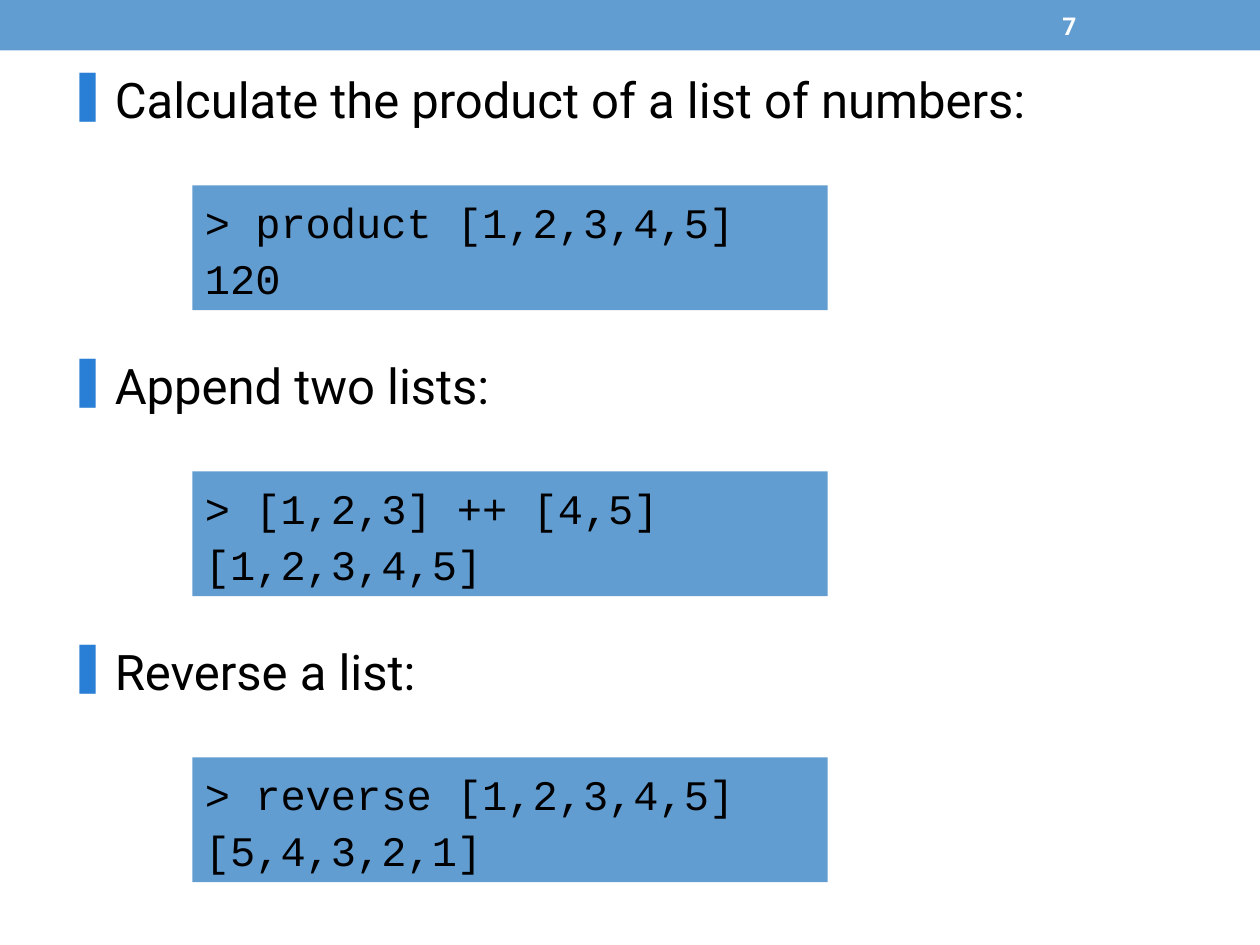
from dataclasses import dataclass

from lxml import etree
from pptx import Presentation, util as u
from pptx.dml.color import RGBColor
from pptx.enum import shapes, text
from pptx.oxml import ns


@dataclass(frozen=True)
class Theme:
    band: RGBColor = RGBColor(0x62, 0x9D, 0xD1)
    bullet: str = "297FD5"
    ink: RGBColor = RGBColor(0, 0, 0)
    paper: RGBColor = RGBColor(0xFF, 0xFF, 0xFF)
    body_font: str = "Roboto"
    code_font: str = "Courier New"
    number_size: float = 14
    heading_size: float = 28
    code_size: float = 24


@dataclass(frozen=True)
class Frame:
    left: float
    top: float
    width: float
    height: float

    def lengths(self) -> list[u.Length]:
        return [u.Pt(n) for n in (self.left, self.top, self.width, self.height)]


@dataclass(frozen=True)
class Example:
    heading: str
    code: tuple[str, ...]


THEME = Theme()
PAGE_WIDTH, PAGE_HEIGHT = 720, 540
FIRST_TOP, STEP = 36, 163.4
CODE_OFFSET = 70
BULLET_INDENT = 27

EXAMPLES = (
    Example("Calculate the product of a list of numbers:",
            ("> product [1,2,3,4,5]", "120")),
    Example("Append two lists:",
            ("> [1,2,3] ++ [4,5]", "[1,2,3,4,5]")),
    Example("Reverse a list:",
            ("> reverse [1,2,3,4,5]", "[5,4,3,2,1]")),
)


def set_all(target, values: dict) -> None:
    for name, value in values.items():
        setattr(target, name, value)


def add_band(page, frame: Frame):
    band = page.shapes.add_shape(shapes.MSO_SHAPE.RECTANGLE, *frame.lengths())
    band.shadow.inherit = False
    band.fill.solid()
    band.fill.fore_color.rgb = THEME.band
    band.line.fill.background()
    return band


def write_line(para, line: str, font: str, size: float,
               color: RGBColor, bold: bool = False) -> None:
    span = para.add_run()
    span.text = line
    set_all(span.font, {"name": font, "size": u.Pt(size), "bold": bold})
    span.font.color.rgb = color


def add_bullet(para) -> None:
    """Give the paragraph a hanging, coloured bar as its bullet."""
    props = para._p.get_or_add_pPr()
    indent = u.Pt(BULLET_INDENT)
    props.set("marL", str(indent))
    props.set("indent", str(-indent))
    color = etree.SubElement(props, ns.qn("a:buClr"))
    etree.SubElement(color, ns.qn("a:srgbClr"), val=THEME.bullet)
    etree.SubElement(props, ns.qn("a:buChar"), char="❚")


def add_page_number(page, number: str) -> None:
    box = page.shapes.add_textbox(*Frame(600, 1.5, 84, 26).lengths())
    set_all(box.text_frame, {"word_wrap": True,
                             "vertical_anchor": text.MSO_ANCHOR.MIDDLE})
    write_line(box.text_frame.paragraphs[0], number, THEME.body_font,
               THEME.number_size, THEME.paper, bold=True)


def add_heading(page, heading: str, top: float) -> None:
    box = page.shapes.add_textbox(*Frame(31.5, top, 644, 47).lengths())
    box.text_frame.word_wrap = True
    para = box.text_frame.paragraphs[0]
    add_bullet(para)
    write_line(para, heading, THEME.body_font, THEME.heading_size, THEME.ink)


def add_code(page, lines: tuple[str, ...], top: float) -> None:
    box = add_band(page, Frame(110, top, 363, 71.3))
    frame = box.text_frame
    set_all(frame, {"word_wrap": True,
                    "vertical_anchor": text.MSO_ANCHOR.TOP,
                    "auto_size": text.MSO_AUTO_SIZE.SHAPE_TO_FIT_TEXT})
    for index, line in enumerate(lines):
        para = frame.add_paragraph() if index else frame.paragraphs[0]
        set_all(para, {"alignment": text.PP_ALIGN.LEFT, "line_spacing": 1.1})
        write_line(para, line, THEME.code_font, THEME.code_size, THEME.ink)


def main() -> None:
    deck = Presentation()
    set_all(deck, {"slide_width": u.Pt(PAGE_WIDTH),
                   "slide_height": u.Pt(PAGE_HEIGHT)})
    page = deck.slides.add_slide(deck.slide_layouts[6])
    add_band(page, Frame(0, 0, PAGE_WIDTH, 28.8))
    add_page_number(page, "7")
    for index, example in enumerate(EXAMPLES):
        top = FIRST_TOP + index * STEP
        add_heading(page, example.heading, top)
        add_code(page, example.code, top + CODE_OFFSET)
    deck.save("out.pptx")


if __name__ == "__main__":
    main()
